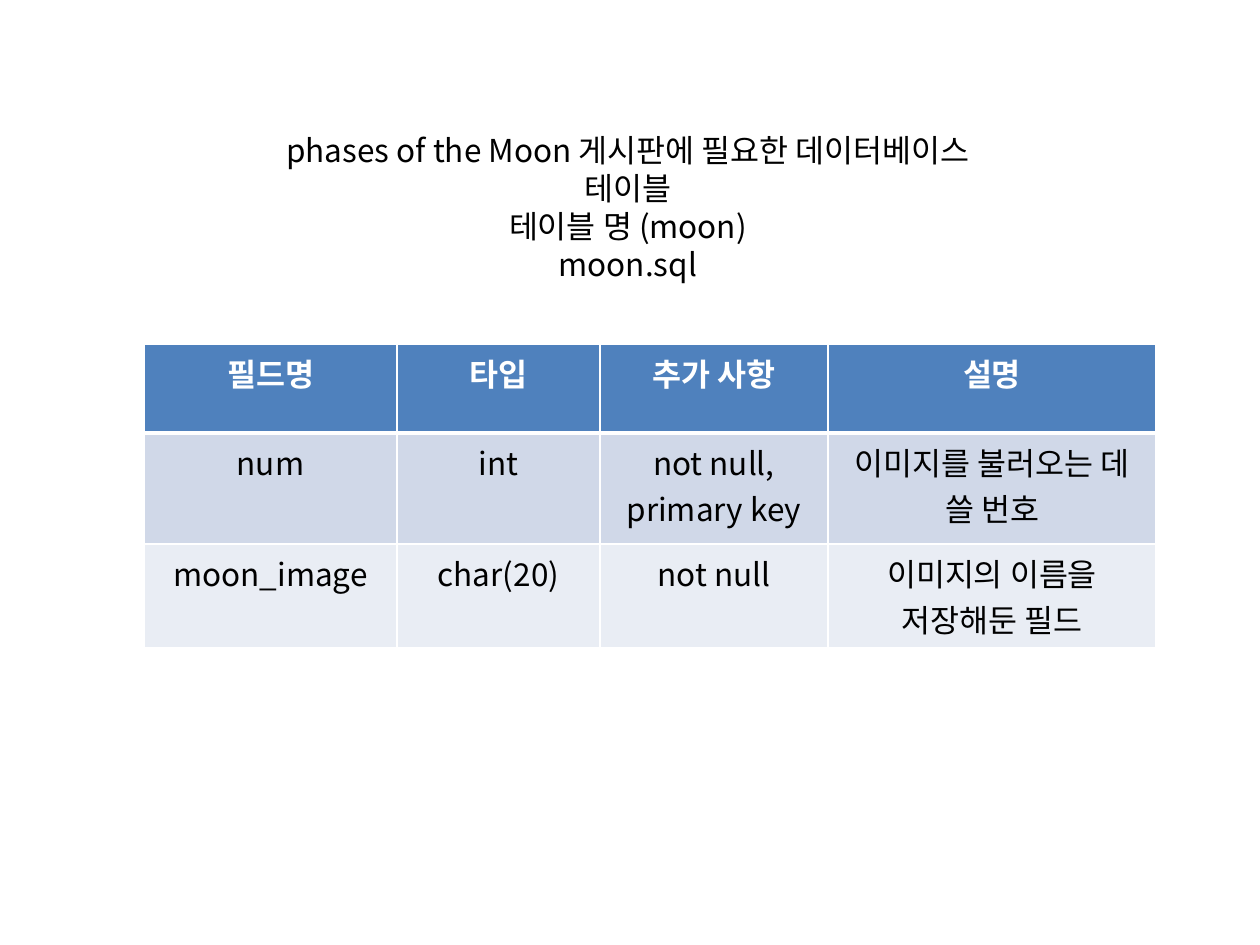
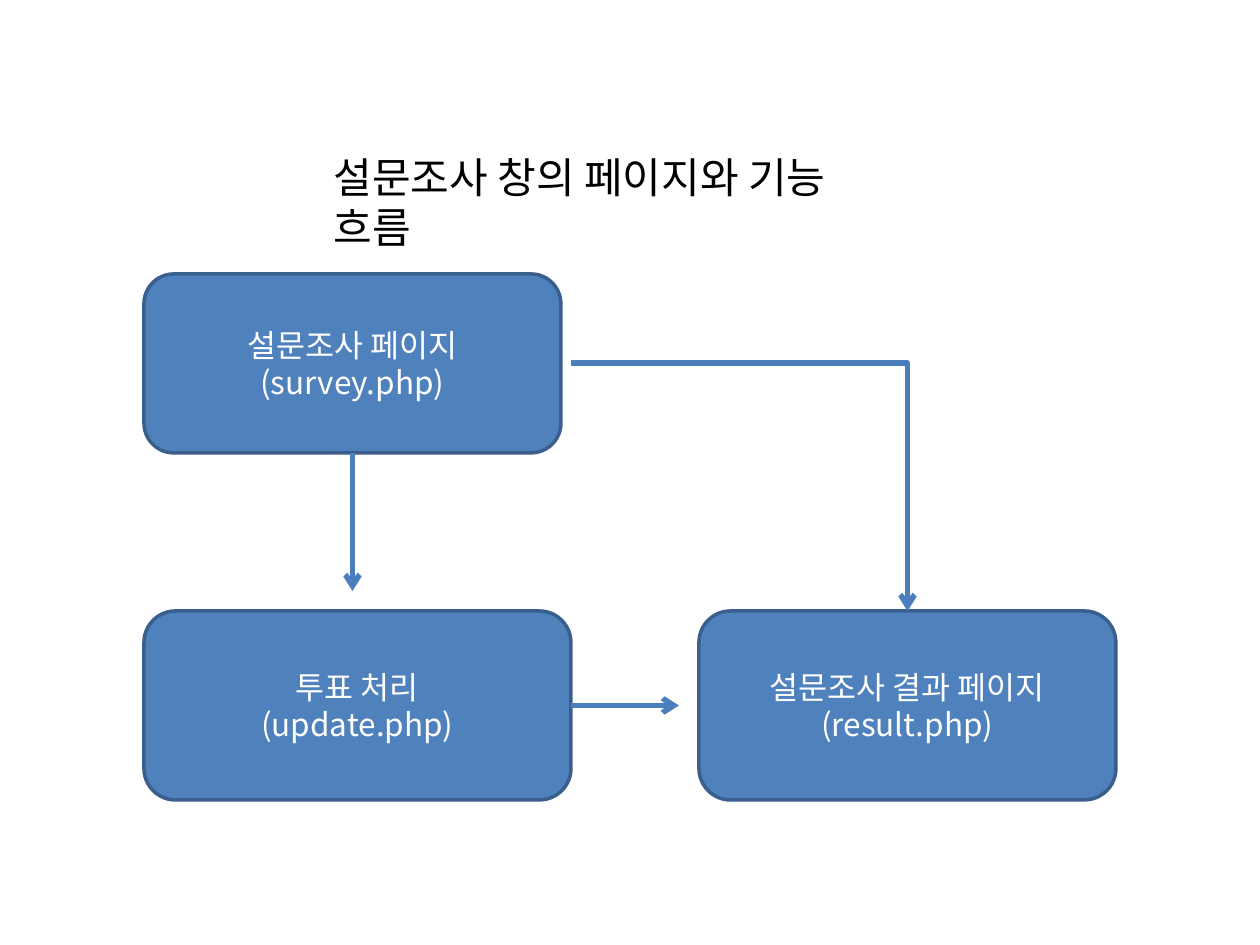
import pptx
import pptx.dml.color
import pptx.enum.shapes
import pptx.enum.text
import pptx.oxml
import pptx.oxml.ns
import pptx.util

FONT = "Noto Sans CJK KR"
BLACK, WHITE = "000000", "FFFFFF"
BLUE, OUTLINE, ARROW = "4F81BD", "3A5F8C", "4B7EBC"
BAND_COLORS = ["D0D8E8", "E9EDF4"]
TITLE_ONLY = 5
TOP, LEFT, BOTTOM, RIGHT = range(4)


def px(length):
    return pptx.util.Emu(round(length * 914400 / 126))


def color(value):
    return pptx.dml.color.RGBColor.from_string(value)


def element(tag, **attributes):
    node = pptx.oxml.parse_xml(f"<a:{tag} {pptx.oxml.ns.nsdecls('a')}/>")
    for name, value in attributes.items():
        node.set(name, str(value))
    return node


def write(text_frame, text, size=18, text_color=BLACK, bold=False, align="CENTER"):
    text_frame.word_wrap = True
    text_frame.text = text
    for paragraph in text_frame.paragraphs:
        paragraph.alignment = getattr(pptx.enum.text.PP_ALIGN, align)
        for run in paragraph.runs:
            run.font.name = FONT
            run.font.size = pptx.util.Pt(size)
            run.font.bold = bold
            run.font.color.rgb = color(text_color)
            run.font._element.append(element("ea", typeface=FONT))


class Deck:
    def __init__(self):
        self.presentation = pptx.Presentation()
        self.presentation.slide_width = pptx.util.Inches(10)
        self.presentation.slide_height = pptx.util.Inches(7.5)
        self.slide = None

    def add_slide(self):
        layout = self.presentation.slide_layouts[TITLE_ONLY]
        self.slide = self.presentation.slides.add_slide(layout)

    def title(self, text, left, top, width, height, **text_format):
        shape = self.slide.shapes.title
        shape.left, shape.top, shape.width, shape.height = map(px, (left, top, width, height))
        frame = shape.text_frame
        frame.vertical_anchor = pptx.enum.text.MSO_ANCHOR.TOP
        frame.auto_size = pptx.enum.text.MSO_AUTO_SIZE.SHAPE_TO_FIT_TEXT
        write(frame, text, **text_format)

    def border(self, side, width):
        line = element(f"ln{side}", w=pptx.util.Pt(width))
        fill = element("solidFill")
        fill.append(element("srgbClr", val=WHITE))
        line.append(fill)
        return line

    def table(self, rows, left, top, column_widths, row_heights):
        table = self.slide.shapes.add_table(
            len(rows), len(column_widths), px(left), px(top),
            px(sum(column_widths)), px(sum(row_heights))).table
        table.horz_banding = False
        for column, width in zip(table.columns, column_widths):
            column.width = px(width)
        for row_index, texts in enumerate(rows):
            table.rows[row_index].height = px(row_heights[row_index])
            header = row_index == 0
            for column_index, text in enumerate(texts):
                cell = table.cell(row_index, column_index)
                write(cell.text_frame, text, bold=header, text_color=WHITE if header else BLACK)
                cell.fill.solid()
                cell.fill.fore_color.rgb = color(BLUE if header else BAND_COLORS[(row_index - 1) % 2])
                widths = {"L": 1, "R": 1, "T": 3 if row_index == 1 else 1, "B": 3 if header else 1}
                properties = cell._tc.get_or_add_tcPr()
                for position, (side, width) in enumerate(widths.items()):
                    properties.insert(position, self.border(side, width))

    def page_box(self, text, left, top, width, height):
        shape = self.slide.shapes.add_shape(
            pptx.enum.shapes.MSO_SHAPE.ROUNDED_RECTANGLE, *map(px, (left, top, width, height)))
        shape.shadow.inherit = False
        shape.fill.solid()
        shape.fill.fore_color.rgb = color(BLUE)
        shape.line.color.rgb = color(OUTLINE)
        shape.line.width = pptx.util.Pt(2)
        shape.text_frame.vertical_anchor = pptx.enum.text.MSO_ANCHOR.MIDDLE
        write(shape.text_frame, text, text_color=WHITE)
        return shape

    def arrow(self, start, end, source=None, side=None, bent=False):
        kinds = pptx.enum.shapes.MSO_CONNECTOR
        connector = self.slide.shapes.add_connector(
            kinds.ELBOW if bent else kinds.STRAIGHT, *map(px, start + end))
        connector.line.color.rgb = color(ARROW)
        connector.line.width = pptx.util.Pt(3)
        properties = connector._element.spPr
        if bent:
            properties.find(pptx.oxml.ns.qn("a:prstGeom")).set("prst", "bentConnector2")
        properties.find(pptx.oxml.ns.qn("a:ln")).append(element("tailEnd", type="arrow"))
        properties.append(element("effectLst"))
        if source is not None:
            connector.begin_connect(source, side)


def build_table_slide(deck):
    deck.add_slide()
    deck.title(
        "phases of the Moon 게시판에 필요한 데이터베이스 테이블\n테이블 명 (moon)\nmoon.sql",
        236, 125, 784, 165)
    rows = [
        ["필드명", "타입", "추가 사항", "설명"],
        ["num", "int", "not null,\nprimary key", "이미지를 불러오는 데 쓸 번호"],
        ["moon_image", "char(20)", "not null", "이미지의 이름을 저장해둔 필드"],
    ]
    deck.table(rows, 144, 344, [253, 203, 228, 328], [89, 111, 104])


def build_flow_slide(deck):
    deck.add_slide()
    deck.title("설문조사 창의 페이지와 기능 흐름", 321, 145, 560, 113, size=24, align="LEFT")
    left, lower_top, width, lower_height = 144, 611, 417, 189
    update_width = width + 10
    result_left = 699
    survey = deck.page_box("설문조사 페이지\n(survey.php)", left, 274, width, 179)
    update = deck.page_box("투표 처리\n(update.php)", left, lower_top, update_width, lower_height)
    deck.page_box("설문조사 결과 페이지\n(result.php)", result_left, lower_top, width, lower_height)
    survey_center = left + width / 2
    lower_middle = lower_top + lower_height / 2
    update_right = left + update_width
    deck.arrow((survey_center, 453), (survey_center, 591), survey, BOTTOM)
    deck.arrow((update_right, lower_middle), (679, lower_middle), update, RIGHT)
    deck.arrow((update_right, 363), (result_left + width / 2, lower_top), bent=True)


def main():
    deck = Deck()
    build_table_slide(deck)
    build_flow_slide(deck)
    deck.presentation.save("out.pptx")


if __name__ == "__main__":
    main()
